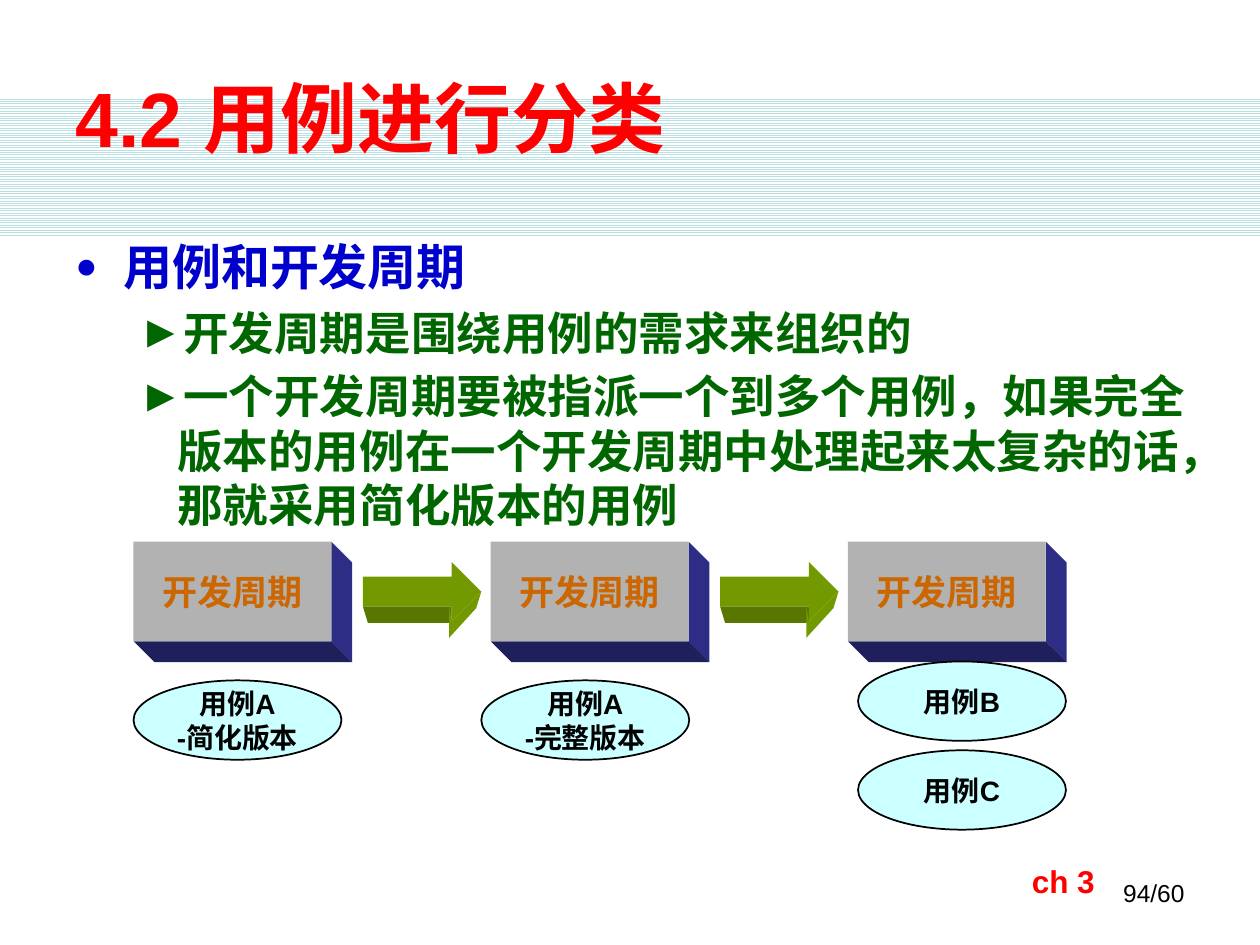
import dataclasses

import lxml.etree
import pptx
import pptx.dml.color
import pptx.enum.dml
import pptx.enum.shapes
import pptx.enum.text
import pptx.oxml.ns
import pptx.util

ALIGN = pptx.enum.text.PP_ALIGN
ANCHOR = pptx.enum.text.MSO_ANCHOR
SHAPE = pptx.enum.shapes.MSO_SHAPE
WIDTH = pptx.util.Inches(10)
HEIGHT = pptx.util.Inches(7.5)


@dataclasses.dataclass(frozen=True)
class Theme:
    latin: str = "Arial"
    cjk: str = "Noto Sans CJK SC"
    red: str = "FF0000"
    topic: str = "0000CC"
    detail: str = "006600"
    cycle: str = "CC6600"
    ink: str = "000000"
    paper: str = "FFFFFF"
    stripe: str = "BBE0E3"
    box_face: str = "B2B2B2"
    box_side: str = "2D2D86"
    box_base: str = "1F1F5C"
    arrow_face: str = "739900"
    arrow_side: str = "597700"
    use_case: str = "CCFFFF"
    title_size: float = 44
    topic_size: float = 28
    detail_size: float = 26
    cycle_size: float = 20
    chapter_size: float = 18
    case_size: float = 16
    page_size: float = 14


THEME = Theme()


def across(percent):
    return round(WIDTH * percent / 100)


def down(percent):
    return round(HEIGHT * percent / 100)


def area(left, top, width, height):
    return across(left), down(top), across(width), down(height)


def rgb(code):
    return pptx.dml.color.RGBColor.from_string(code)


def paint(shape, fill, outline=None):
    shape.shadow.inherit = False
    shape.fill.solid()
    shape.fill.fore_color.rgb = rgb(fill)
    if outline:
        shape.line.color.rgb = rgb(outline)
        shape.line.width = pptx.util.Pt(1)
    else:
        shape.line.fill.background()


def style(paragraph, size, color, bold=True, align=ALIGN.LEFT, latin=THEME.latin):
    paragraph.alignment = align
    font = paragraph.font
    font.name, font.size, font.bold = latin, pptx.util.Pt(size), bold
    font.color.rgb = rgb(color)
    defaults = paragraph._p.pPr.find(pptx.oxml.ns.qn("a:defRPr"))
    east_asian = lxml.etree.SubElement(defaults, pptx.oxml.ns.qn("a:ea"))
    east_asian.set("typeface", THEME.cjk)


def write(shape, lines, size, color, wrap=False, anchor=ANCHOR.MIDDLE, **look):
    frame = shape.text_frame
    frame.word_wrap = wrap
    frame.vertical_anchor = anchor
    frame.text = "\n".join(lines)
    for paragraph in frame.paragraphs:
        style(paragraph, size, color, **look)
    return frame


def add_label(slide, place, text, size, color, anchor=ANCHOR.TOP, **look):
    label = slide.shapes.add_textbox(*place)
    write(label, [text], size, color, wrap=True, anchor=anchor, **look)


def add_bullet(paragraph, mark, margin, hang, scale):
    properties = paragraph._p.get_or_add_pPr()
    properties.set("marL", str(across(margin)))
    properties.set("indent", str(-across(hang)))
    defaults = properties.find(pptx.oxml.ns.qn("a:defRPr"))
    for tag, key, value in (
        ("a:buSzPct", "val", str(scale * 1000)),
        ("a:buFont", "typeface", THEME.latin),
        ("a:buChar", "char", mark),
    ):
        element = lxml.etree.Element(pptx.oxml.ns.qn(tag))
        element.set(key, value)
        defaults.addprevious(element)


def add_outline(slide, topic, details):
    body = slide.shapes.add_textbox(*area(5, 24.4, 90.8, 31.07))
    frame = write(body, [topic, *details], THEME.detail_size, THEME.detail,
                  wrap=True, anchor=ANCHOR.TOP, latin=THEME.cjk)
    heading, *points = frame.paragraphs
    heading.font.size = pptx.util.Pt(THEME.topic_size)
    heading.font.color.rgb = rgb(THEME.topic)
    add_bullet(heading, "●", 3.8, 3.8, 75)
    for point in points:
        point.level = 1
        add_bullet(point, "►", 8.1, 3.1, 100)
    for paragraph in frame.paragraphs:
        paragraph.space_before = pptx.util.Pt(paragraph.font.size.pt * 0.2)


def add_polygon(slide, points, fill):
    first, *rest = [(across(x), down(y)) for x, y in points]
    builder = slide.shapes.build_freeform(*first)
    builder.add_line_segments(rest, close=True)
    paint(builder.convert_to_shape(), fill)


def add_cycle_box(slide, left, top, text):
    width, height, shift, drop = 15.7, 10.53, 1.65, 2.2
    right, bottom = left + width, top + height
    outer = (right + shift, bottom + drop)
    add_polygon(slide, [(right, top), (right + shift, top + drop), outer,
                        (right, bottom)], THEME.box_side)
    add_polygon(slide, [(left, bottom), (right, bottom), outer,
                        (left + shift, bottom + drop)], THEME.box_base)
    face = slide.shapes.add_shape(SHAPE.RECTANGLE, *area(left, top, width, height))
    paint(face, THEME.box_face)
    write(face, [text], THEME.cycle_size, THEME.cycle, align=ALIGN.CENTER)


def add_arrow(slide, left, top):
    width, height, shift, drop = 9.4, 6.27, 0.4, 1.75
    tip, neck = left + width, left + width - 2.35
    middle, shaft, bottom = top + height / 2, top + height * 0.75, top + height
    add_polygon(slide, [(left, shaft), (neck, shaft), (neck, shaft + drop),
                        (left + shift, shaft + drop)], THEME.arrow_side)
    add_polygon(slide, [(neck, bottom), (tip, middle), (tip - shift, middle + drop),
                        (neck - shift / 2, bottom + drop),
                        (neck - shift / 2, shaft)], THEME.arrow_face)
    face = slide.shapes.add_shape(SHAPE.RIGHT_ARROW, *area(left, top, width, height))
    paint(face, THEME.arrow_face)


def add_use_case(slide, left, top, lines):
    oval = slide.shapes.add_shape(SHAPE.OVAL, *area(left, top, 16.5, 8.4))
    paint(oval, THEME.use_case, THEME.ink)
    write(oval, lines, THEME.case_size, THEME.ink, align=ALIGN.CENTER)


def add_striped_band(slide):
    band = slide.shapes.add_shape(SHAPE.RECTANGLE, *area(0, 10.2, 100, 14.67))
    paint(band, THEME.paper)
    band.fill.patterned()
    band.fill.pattern = pptx.enum.dml.MSO_PATTERN.LIGHT_HORIZONTAL
    band.fill.fore_color.rgb = rgb(THEME.stripe)
    band.fill.back_color.rgb = rgb(THEME.paper)


def main():
    deck = pptx.Presentation()
    deck.slide_width, deck.slide_height = WIDTH, HEIGHT
    slide = deck.slides.add_slide(deck.slide_layouts[6])
    add_striped_band(slide)
    add_label(slide, area(71.7, 92.27, 23.3, 6.67), "94/60", THEME.page_size,
              THEME.ink, bold=False, align=ALIGN.RIGHT)
    add_label(slide, area(5, 4, 90, 16.67), "4.2 用例进行分类",
              THEME.title_size, THEME.red, anchor=ANCHOR.MIDDLE)
    add_outline(slide, "用例和开发周期", [
        "开发周期是围绕用例的需求来组织的",
        "一个开发周期要被指派一个到多个用例，如果完全版本的用例在一个开发周期中"
        "处理起来太复杂的话，那就采用简化版本的用例",
    ])
    pitch = 28.35
    for column in range(3):
        add_cycle_box(slide, 10.6 + column * pitch, 57.33, "开发周期")
    for column in range(2):
        add_arrow(slide, 28.8 + column * pitch, 59.47)
    for left, top, lines in (
        (10.6, 72, ["用例A", "-简化版本"]),
        (38.2, 72, ["用例A", "-完整版本"]),
        (68.1, 70, ["用例B"]),
        (68.1, 79.4, ["用例C"]),
    ):
        add_use_case(slide, left, top, lines)
    add_label(slide, area(80.9, 90.53, 12.5, 5.33), "ch 3",
              THEME.chapter_size, THEME.red)
    deck.save("out.pptx")


if __name__ == "__main__":
    main()
